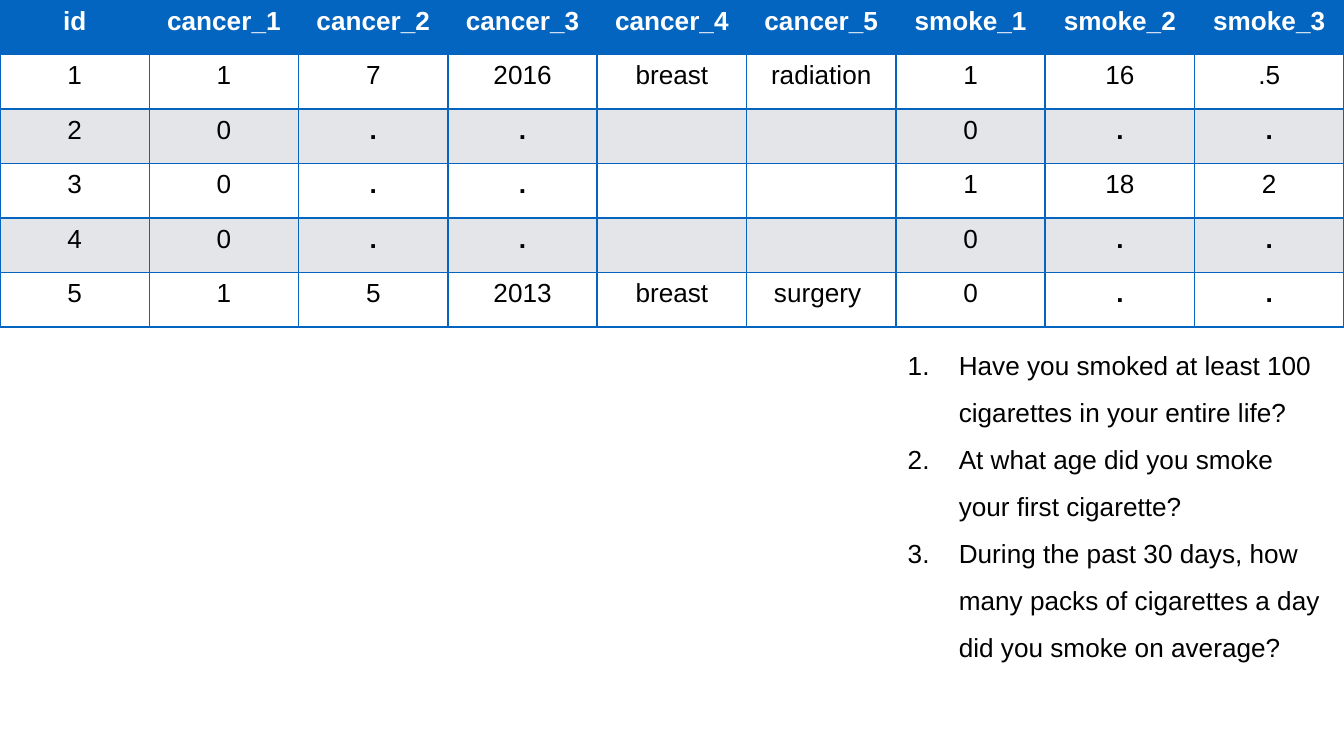
from lxml.etree import SubElement
from pptx import Presentation
from pptx.dml.color import RGBColor
from pptx.enum.text import MSO_AUTO_SIZE as AutoSize, PP_ALIGN as Align
from pptx.oxml import parse_xml
from pptx.oxml.ns import nsdecls, qn
from pptx.util import Inches, Pt

BLUE = RGBColor(0x03, 0x65, 0xC0)
GRAY = RGBColor(0xE3, 0xE5, 0xE8)
WHITE = RGBColor(0xFF, 0xFF, 0xFF)
BLACK = RGBColor(0x00, 0x00, 0x00)

HEADER = ["id", *(f"cancer_{n}" for n in range(1, 6)),
          *(f"smoke_{n}" for n in range(1, 4))]
RECORDS = [
    ["1", "1", "7", "2016", "breast", "radiation", "1", "16", ".5"],
    ["2", "0", ".", ".", "", "", "0", ".", "."],
    ["3", "0", ".", ".", "", "", "1", "18", "2"],
    ["4", "0", ".", ".", "", "", "0", ".", "."],
    ["5", "1", "5", "2013", "breast", "surgery ", "0", ".", "."],
]
QUESTIONS = [
    "Have you smoked at least 100 cigarettes in your entire life?",
    "At what age did you smoke your first cigarette?",
    "During the past 30 days, how many packs of cigarettes a day "
    "did you smoke on average?",
]


def write(para, text, font="Arial", size=14, color=BLACK, bold=False,
          align=Align.LEFT, spacing=None):
    para.alignment = align
    if spacing:
        para.line_spacing = spacing
    span = para.add_run()
    span.text = text
    span.font.name, span.font.size = font, Pt(size)
    span.font.bold, span.font.color.rgb = bold, color


class SurveyPage:
    """A page on a grid of nine columns and equal table rows."""
    row_height = Pt(29.2)

    def __init__(self, deck):
        self.page = deck.slides.add_slide(deck.slide_layouts[6])
        self.width = deck.slide_width
        self.column_width = self.width / len(HEADER)

    def border(self, cell, color, points=1):
        props = cell._tc.get_or_add_tcPr()
        for place, side in enumerate(("lnL", "lnR", "lnT", "lnB")):
            props.insert(place, parse_xml(
                f'<a:{side} {nsdecls("a")} w="{Pt(points)}"><a:solidFill>'
                f'<a:srgbClr val="{color}"/></a:solidFill></a:{side}>'))

    def table(self, rows):
        frame = self.page.shapes.add_table(
            len(rows), len(rows[0]), 0, 0, self.width,
            self.row_height * len(rows))
        grid = frame.table
        for row in grid.rows:
            row.height = self.row_height
        for r, values in enumerate(rows):
            head = r == 0
            fill = BLUE if head else WHITE if r % 2 else GRAY
            for c, value in enumerate(values):
                cell = grid.cell(r, c)
                cell.fill.solid()
                cell.fill.fore_color.rgb = fill
                self.border(cell, BLUE)
                if value:
                    write(cell.text_frame.paragraphs[0], value,
                          color=WHITE if head else BLACK,
                          bold=head or value == ".", align=Align.CENTER)

    def numbered_list(self, items, column, row, columns, rows, indent=0.38):
        box = self.page.shapes.add_textbox(
            int(column * self.column_width), int(row * self.row_height),
            int(columns * self.column_width), int(rows * self.row_height))
        frame = box.text_frame
        frame.word_wrap = True
        frame.auto_size = AutoSize.SHAPE_TO_FIT_TEXT
        for n, item in enumerate(items):
            para = frame.add_paragraph() if n else frame.paragraphs[0]
            props = para._p.get_or_add_pPr()
            props.set("marL", str(Inches(indent)))
            props.set("indent", str(-Inches(indent)))
            SubElement(props, qn("a:buAutoNum"), type="arabicPeriod")
            write(para, item, spacing=1.5)


def main():
    # Widescreen page, 16 to 9
    deck = Presentation()
    deck.slide_width = Inches(10)
    deck.slide_height = deck.slide_width * 9 // 16
    survey = SurveyPage(deck)

    # Questions under the three smoke columns
    survey.numbered_list(QUESTIONS, column=5.99, row=6, columns=3.01,
                         rows=6.34)

    # Survey answers
    survey.table([HEADER, *RECORDS])

    deck.save("out.pptx")


if __name__ == "__main__":
    main()
